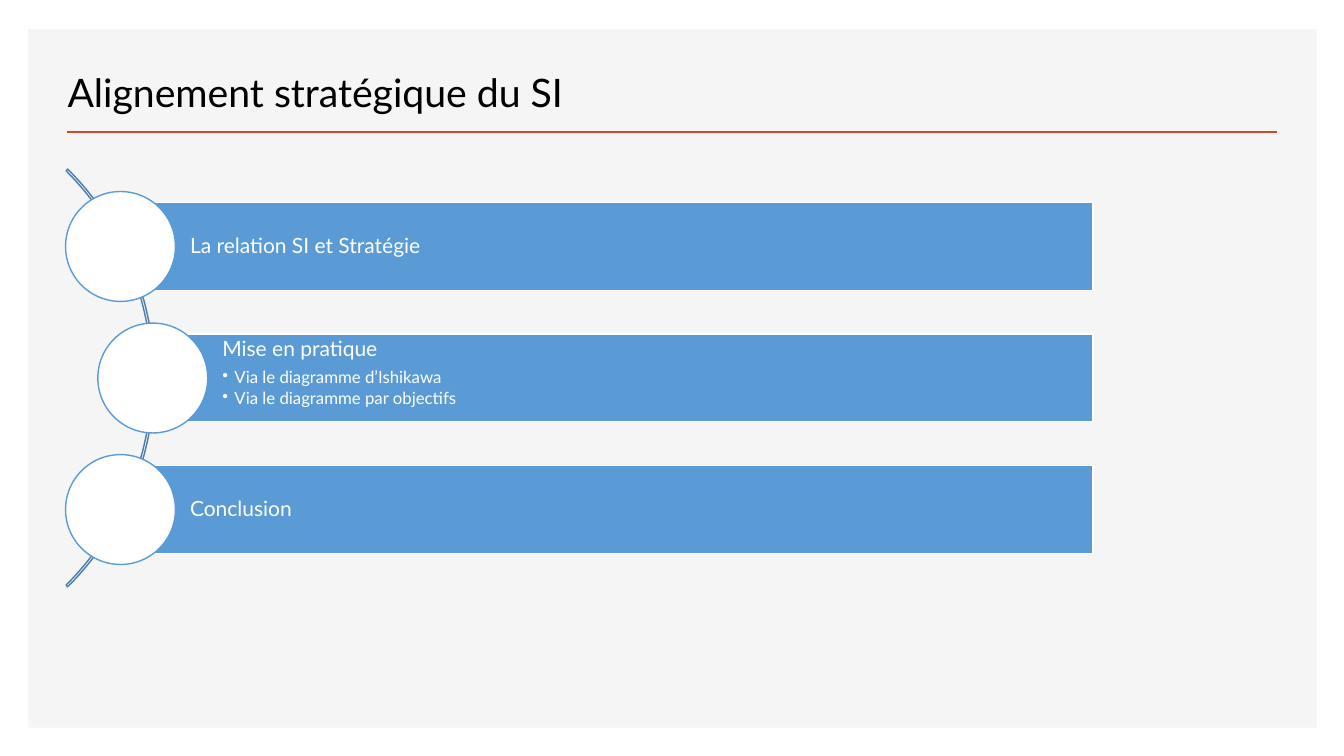
from pptx import Presentation
from pptx.dml.color import RGBColor
from pptx.enum import shapes, text
from pptx.oxml import parse_xml
from pptx.oxml.ns import nsdecls
from pptx.util import Inches, Pt

TITLE = "Alignement stratégique du SI"
STEPS = [
    ("La relation SI et Stratégie", []),
    ("Mise en pratique", ["Via le diagramme d’Ishikawa", "Via le diagramme par objectifs"]),
    ("Conclusion", []),
]
THEME = {
    "font": "Lato", "title": 28, "step": 15, "point": 12,
    "black": "000000", "white": "FFFFFF", "panel": "F5F5F5",
    "rule": "D24726", "bar": "5B9BD5", "arc": "497CAB",
}
LEFTS = [0.65, 0.97, 0.65]
DISC, BAR, PITCH = 1.09, 0.87, 1.305
MIDDLE, RIGHT = 3.75, 10.84
ARC = 5.86


def color(name):
    return RGBColor.from_string(THEME[name])


def add_part(slide, kind, box, fill=None, line=None):
    part = slide.shapes.add_shape(kind, *map(Inches, box))
    part.shadow.inherit = False
    if fill:
        part.fill.solid()
        part.fill.fore_color.rgb = color(fill)
    else:
        part.fill.background()
    if line:
        part.line.color.rgb = color(line)
        part.line.width = Pt(1)
    else:
        part.line.fill.background()
    return part


def add_run(para, words, size, ink):
    run = para.add_run()
    run.text = words
    run.font.name = THEME["font"]
    run.font.size = Pt(THEME[size])
    run.font.color.rgb = color(ink)


def add_para(para, words, size, after):
    para.alignment = text.PP_ALIGN.LEFT
    para.line_spacing = 0.9
    para.space_after = Pt(after)
    add_run(para, words, size, "white")


def add_bullet(para):
    props = para._p.get_or_add_pPr()
    props.set("marL", str(Inches(0.12)))
    props.set("indent", str(-Inches(0.12)))
    props.append(parse_xml(f'<a:buChar {nsdecls("a")} char="•"/>'))


def add_frame(slide):
    panel = add_part(slide, shapes.MSO_SHAPE.RECTANGLE, (0.28, 0.29, 12.78, 6.93), "panel")
    slide.shapes._spTree.insert(2, panel._element)
    rule = slide.shapes.add_connector(
        shapes.MSO_CONNECTOR.STRAIGHT, *map(Inches, (0.66, 1.31, 12.67, 1.31)))
    rule.line.color.rgb = color("rule")
    rule.line.width = Pt(2)
    rule._element.spPr.append(parse_xml(f'<a:effectLst {nsdecls("a")}/>'))


def add_title(slide):
    title = slide.shapes.title
    title.left, title.top, title.width, title.height = map(Inches, (0.57, 0.49, 7.52, 0.7))
    frame = title.text_frame
    frame.auto_size = text.MSO_AUTO_SIZE.NONE
    frame.vertical_anchor = text.MSO_ANCHOR.BOTTOM
    frame.paragraphs[0].alignment = text.PP_ALIGN.LEFT
    add_run(frame.paragraphs[0], TITLE, "title", "black")


def add_step(slide, left, mid, head, points):
    start = left + DISC / 2
    bar = add_part(slide, shapes.MSO_SHAPE.RECTANGLE,
                   (start, mid - BAR / 2, RIGHT - start, BAR), "bar", "white")
    frame = bar.text_frame
    frame.word_wrap = True
    frame.margin_left = Inches(0.69)
    frame.margin_top = frame.margin_right = frame.margin_bottom = Inches(0.04)
    frame.vertical_anchor = text.MSO_ANCHOR.TOP if points else text.MSO_ANCHOR.MIDDLE
    add_para(frame.paragraphs[0], head, "step", 6)
    for point in points:
        para = frame.add_paragraph()
        para.level = 1
        add_para(para, point, "point", 2)
        add_bullet(para)
    add_part(slide, shapes.MSO_SHAPE.OVAL, (left, mid - DISC / 2, DISC, DISC), "white", "bar")


def main():
    deck = Presentation()
    deck.slide_width, deck.slide_height = Inches(13.33), Inches(7.5)
    slide = deck.slides.add_slide(deck.slide_layouts[5])
    add_frame(slide)
    add_title(slide)
    arc = add_part(slide, shapes.MSO_SHAPE.BLOCK_ARC,
                   (-4.33, MIDDLE - ARC / 2, ARC, ARC), line="arc")
    for spot, value in enumerate((189, 27, 0.004)):
        arc.adjustments[spot] = value
    for row, (left, (head, points)) in enumerate(zip(LEFTS, STEPS)):
        add_step(slide, left, MIDDLE + (row - 1) * PITCH, head, points)
    deck.save("out.pptx")


if __name__ == "__main__":
    main()
